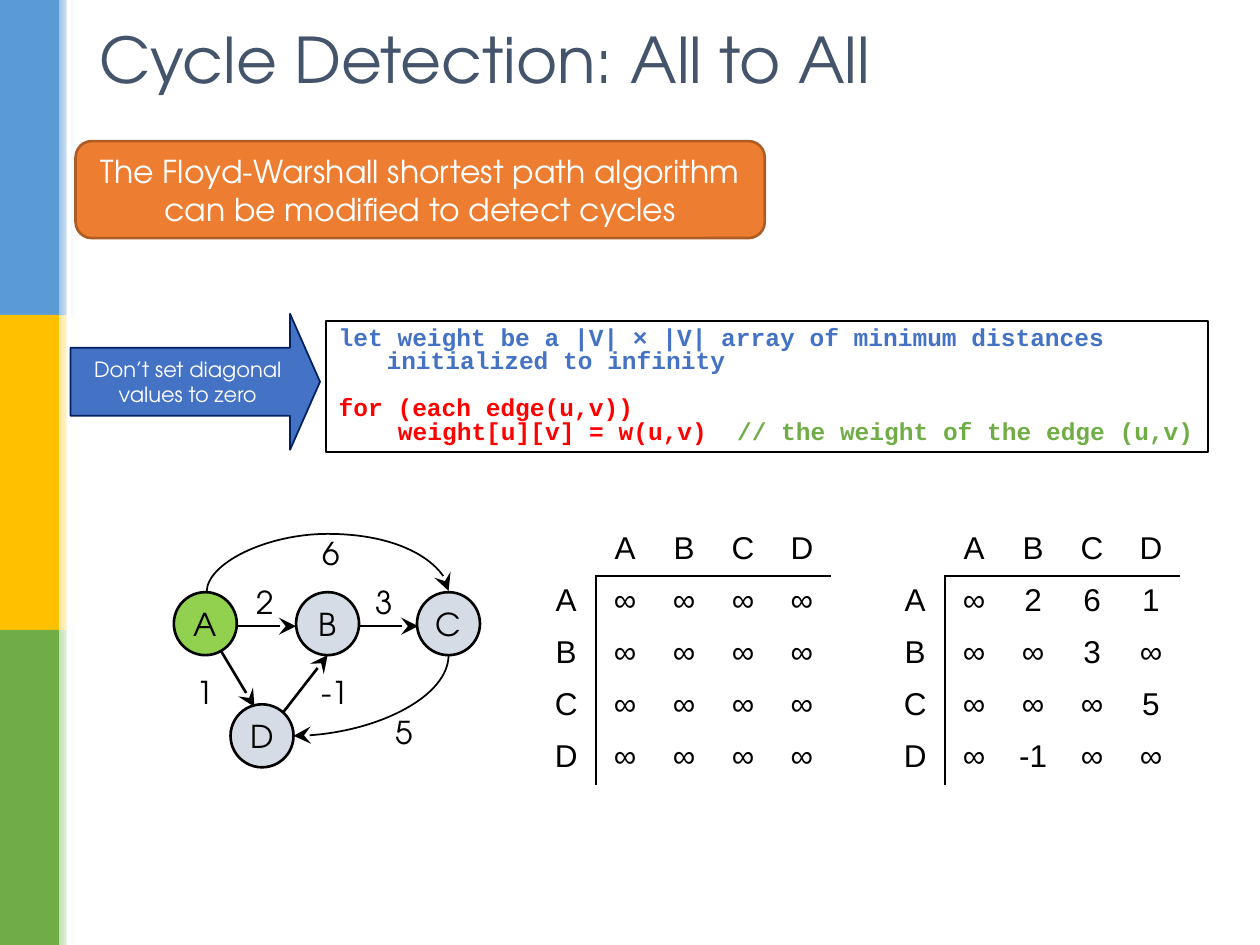
"""Build the cycle detection slide with its graph, code box and weight matrices."""
from dataclasses import dataclass
from typing import NamedTuple

from lxml.etree import SubElement
from pptx import Presentation
from pptx.dml.color import RGBColor
from pptx.enum.shapes import MSO_CONNECTOR as Link, MSO_SHAPE as Preset
from pptx.enum.text import MSO_ANCHOR as Anchor, PP_ALIGN as Align
from pptx.oxml.ns import qn
from pptx.util import Inches, Pt

BLACK, WHITE, BLUE, GREEN, GREY = "000000", "FFFFFF", "4472C4", "70AD47", "D6DCE5"
TITLE_FONT, CODE_FONT, TABLE_FONT = "TeX Gyre Adventor", "Courier New", "Arial"
NODE_SIZE, CELL_WIDTH, ROW_HEIGHT = 0.5, 0.468, 0.414
INFINITY = "∞"


class Band(NamedTuple):
    color: str
    tint: str


class Node(NamedTuple):
    name: str
    left: float
    top: float
    fill: str = GREY


class Label(NamedTuple):
    text: str
    left: float
    top: float
    width: float = 0.34


class Edge(NamedTuple):
    start: tuple[float, float]
    end: tuple[float, float]


class Curve(NamedTuple):
    start: tuple[float, float]
    end: tuple[float, float]
    preset: str
    bend: int | None = None


class Matrix(NamedTuple):
    left: float
    rows: list[str]


@dataclass
class CodeLine:
    spans: list[tuple[str, str]]
    left: float = 0.38
    first: float = -0.38
    before: float = 0


BANDS = [Band("5B9BD5", "9DC3E6"), Band("FFC000", "FFE699"), Band(GREEN, "C5E0B4")]
NODES = [Node("A", 1.38, 4.7, "92D050"), Node("B", 2.35, 4.7),
         Node("C", 3.31, 4.7), Node("D", 1.83, 5.59)]
LABELS = [Label("1", 1.46, 5.29), Label("2", 1.94, 4.58), Label("3", 2.88, 4.58),
          Label("6", 2.46, 4.19), Label("-1", 2.45, 5.29, 0.78), Label("5", 3.04, 5.61)]
EDGES = [Edge((1.75, 5.16), (2.02, 5.61)), Edge((1.89, 4.97), (2.35, 4.97)),
         Edge((2.85, 4.97), (3.32, 4.97)), Edge((2.25, 5.65), (2.6, 5.2))]
CURVES = [Curve((1.64, 4.7), (3.56, 4.69), "curvedConnector3", 4700000),
          Curve((3.56, 5.2), (2.33, 5.84), "curvedConnector2")]
MATRICES = [Matrix(4.26, ["∞ ∞ ∞ ∞"] * 4),
            Matrix(7.03, ["∞ 2 6 1", "∞ ∞ 3 ∞", "∞ ∞ ∞ 5", "∞ -1 ∞ ∞"])]
CODE = [
    CodeLine([("let weight be a |V| × |V| array of minimum distances "
               "initialized to infinity", BLUE)]),
    CodeLine([("for (each edge(u,v))", "FF0000")], before=13.5),
    CodeLine([("weight[u][v] = w(u,v)  ", "FF0000"),
              ("// the weight of the edge (u,v)", GREEN)], left=0.47, first=0),
]


def rgb(value: str) -> RGBColor:
    """Turn a hex string into a colour."""
    return RGBColor.from_string(value)


def write(para, text: str, color: str = BLACK, **formats) -> None:
    """Add a formatted span to a paragraph."""
    span = para.add_run()
    span.text = text
    values = {"name": TITLE_FONT, "size": Pt(18), **formats}
    for name, value in values.items():
        setattr(span.font, name, value)
    span.font.color.rgb = rgb(color)


def add_box(page, preset, bounds, fill=None, line=None, weight=1.5):
    """Add a preset shape without a shadow."""
    box = page.shapes.add_shape(preset, *map(Inches, bounds))
    box.shadow.inherit = False
    if fill:
        box.fill.solid()
        box.fill.fore_color.rgb = rgb(fill)
    else:
        box.fill.background()
    if line:
        box.line.color.rgb = rgb(line)
        box.line.width = Pt(weight)
    else:
        box.line.fill.background()
    return box


def center_text(box, text: str, color: str, wrap: bool = True, **formats) -> None:
    """Write text in the middle of a shape."""
    frame = box.text_frame
    frame.word_wrap = wrap
    frame.vertical_anchor = Anchor.MIDDLE
    para = frame.paragraphs[0]
    para.alignment = Align.CENTER
    write(para, text, color, **formats)


def add_text(page, text: str, bounds, color: str = BLACK, anchor=Anchor.TOP, **formats) -> None:
    """Add a left-aligned text box."""
    frame = page.shapes.add_textbox(*map(Inches, bounds)).text_frame
    frame.word_wrap = True
    frame.vertical_anchor = anchor
    write(frame.paragraphs[0], text, color, **formats)


def add_arrow(page, kind, start, end, weight: float):
    """Add a black connector with a stealth head."""
    arrow = page.shapes.add_connector(kind, *map(Inches, (*start, *end)))
    arrow.line.color.rgb = rgb(BLACK)
    arrow.line.width = Pt(weight)
    SubElement(arrow.line._get_or_add_ln(), qn("a:tailEnd"), type="stealth", w="lg", len="lg")
    SubElement(arrow._element.spPr, qn("a:effectLst"))
    return arrow


def add_curve(page, curve: Curve) -> None:
    """Add a curved arrow whose frame is turned by a quarter."""
    (x1, y1), (x2, y2) = curve.start, curve.end
    mid_x, mid_y = (x1 + x2) / 2, (y1 + y2) / 2
    start, end = [(mid_x + y - mid_y, mid_y - x + mid_x) for x, y in (curve.start, curve.end)]
    arrow = add_arrow(page, Link.CURVE, start, end, 1)
    properties = arrow._element.spPr
    properties.find(qn("a:xfrm")).set("rot", str(90 * 60000))
    geometry = properties.find(qn("a:prstGeom"))
    geometry.set("prst", curve.preset)
    if curve.bend:
        guides = geometry.find(qn("a:avLst"))
        SubElement(guides, qn("a:gd"), name="adj1", fmla=f"val {curve.bend}")


def set_borders(cell, sides: set[str]) -> None:
    """Draw the named cell borders and clear the others."""
    properties = cell._tc.get_or_add_tcPr()
    for index, side in enumerate("LRTB"):
        border = properties.makeelement(qn(f"a:ln{side}"), {"w": str(Pt(1.5))})
        if side in sides:
            fill = SubElement(border, qn("a:solidFill"))
            SubElement(fill, qn("a:srgbClr"), val=BLACK)
        else:
            SubElement(border, qn("a:noFill"))
        properties.insert(index, border)


def add_matrix(page, matrix: Matrix) -> None:
    """Add a weight matrix with ruled headings."""
    names = [node.name for node in NODES]
    rows = [["", *names]] + [[name, *row.split()] for name, row in zip(names, matrix.rows)]
    size = len(rows)
    bounds = (matrix.left, 4.16, size * CELL_WIDTH, size * ROW_HEIGHT)
    table = page.shapes.add_table(size, size, *map(Inches, bounds)).table
    table.first_row = table.horz_banding = False
    for row, values in enumerate(rows):
        for column, value in enumerate(values):
            cell = table.cell(row, column)
            cell.fill.background()
            rules = {"B": row == 0 and column, "T": row == 1 and column,
                     "R": column == 0 and row, "L": column == 1 and row}
            set_borders(cell, {side for side, shown in rules.items() if shown})
            if value:
                para = cell.text_frame.paragraphs[0]
                para.alignment = Align.CENTER
                write(para, value, name=TABLE_FONT)


def add_code(page) -> None:
    """Add the framed pseudocode."""
    frame = add_box(page, Preset.RECTANGLE, (2.59, 2.55, 7, 1.04), line=BLACK, weight=1).text_frame
    frame.word_wrap = True
    frame.vertical_anchor = Anchor.TOP
    for index, line in enumerate(CODE):
        para = frame.add_paragraph() if index else frame.paragraphs[0]
        values = {"alignment": Align.LEFT, "line_spacing": 0.8, "space_before": Pt(line.before)}
        for name, value in values.items():
            setattr(para, name, value)
        indents = para._p.get_or_add_pPr()
        indents.set("marL", str(Inches(line.left)))
        indents.set("indent", str(Inches(line.first)))
        for text, color in line.spans:
            write(para, text, color, name=CODE_FONT, size=Pt(14), bold=True)


def add_sidebar(page) -> None:
    """Add the coloured bands and their fading edges."""
    for index, band in enumerate(BANDS):
        top = index * 2.5
        add_box(page, Preset.RECTANGLE, (0, top, 0.47, 2.5), band.color)
        fade = add_box(page, Preset.RECTANGLE, (0.47, top, 0.12, 2.5)).fill
        fade.gradient()
        fade.gradient_angle = 0
        for stop, color in zip(fade.gradient_stops, (band.tint, WHITE)):
            stop.color.rgb = rgb(color)
    add_box(page, Preset.RECTANGLE, (0.53, 0, 0.04, 7.5), WHITE)


def main() -> None:
    """Assemble and save the deck."""
    deck = Presentation()
    deck.slide_width, deck.slide_height = Inches(10), Inches(7.5)
    page = deck.slides.add_slide(deck.slide_layouts[6])
    add_sidebar(page)
    add_text(page, "Cycle Detection: All to All", (0.69, 0.05, 7.17, 0.82), "44546A",
             Anchor.MIDDLE, size=Pt(36))
    add_code(page)
    for matrix in MATRICES:
        add_matrix(page, matrix)
    for node in NODES:
        bounds = (node.left, node.top, NODE_SIZE, NODE_SIZE)
        center_text(add_box(page, Preset.OVAL, bounds, node.fill, BLACK), node.name, BLACK, False)
    for label in LABELS:
        add_text(page, label.text, (label.left, label.top, label.width, 0.4))
    for edge in EDGES:
        add_arrow(page, Link.STRAIGHT, edge.start, edge.end, 1.5)
    for curve in CURVES:
        add_curve(page, curve)
    hint = add_box(page, Preset.RIGHT_ARROW, (0.56, 2.49, 1.98, 1.08), BLUE, "002060", 1)
    hint.adjustments[1] = 0.22
    center_text(hint, "Don’t set diagonal values to zero", WHITE, size=Pt(12))
    banner = add_box(page, Preset.ROUNDED_RECTANGLE, (0.6, 1.12, 5.47, 0.77), "ED7D31", "AF5C24")
    center_text(banner, "The Floyd-Warshall shortest path algorithm can be modified "
                "to detect cycles", WHITE)
    deck.save("out.pptx")


main()
